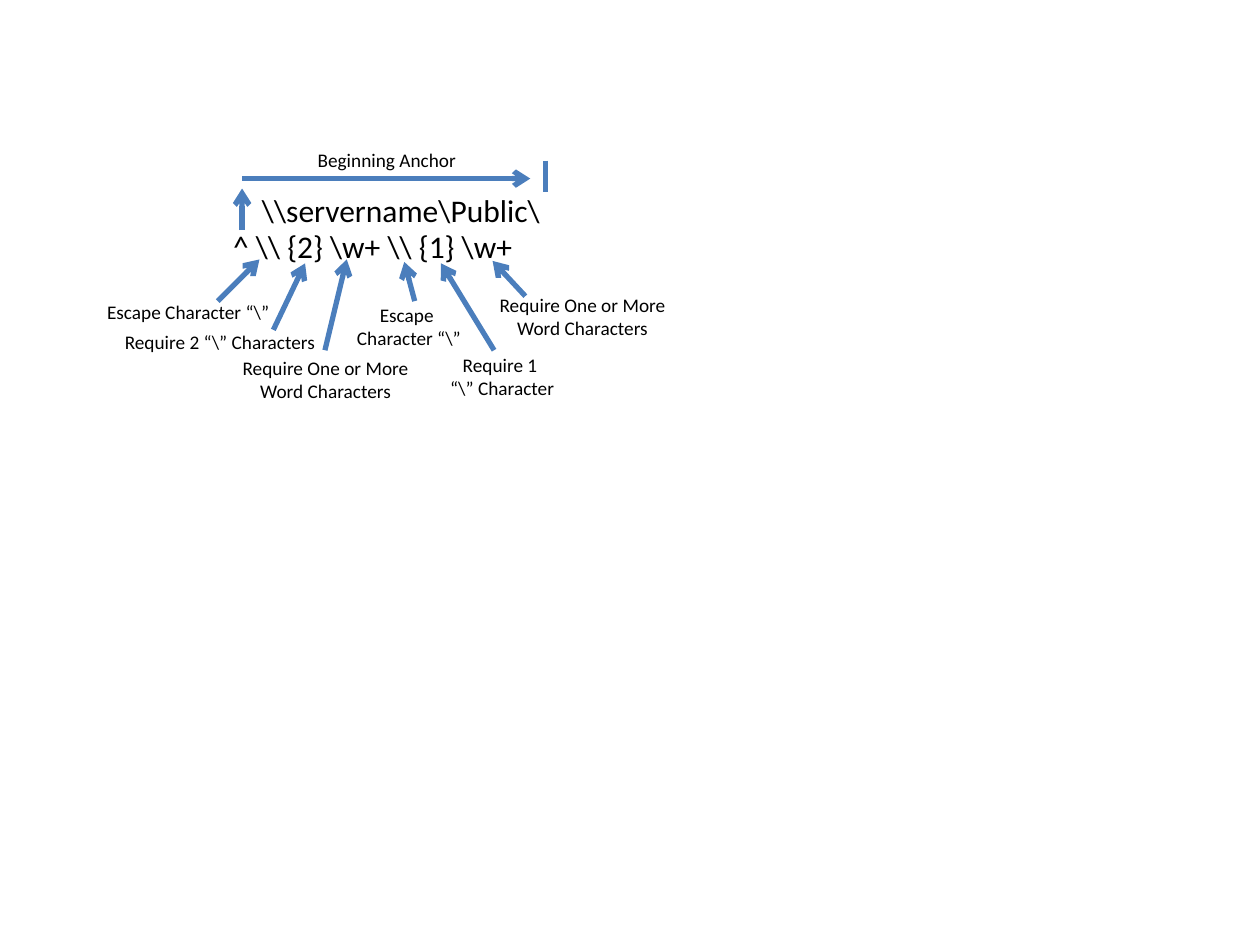
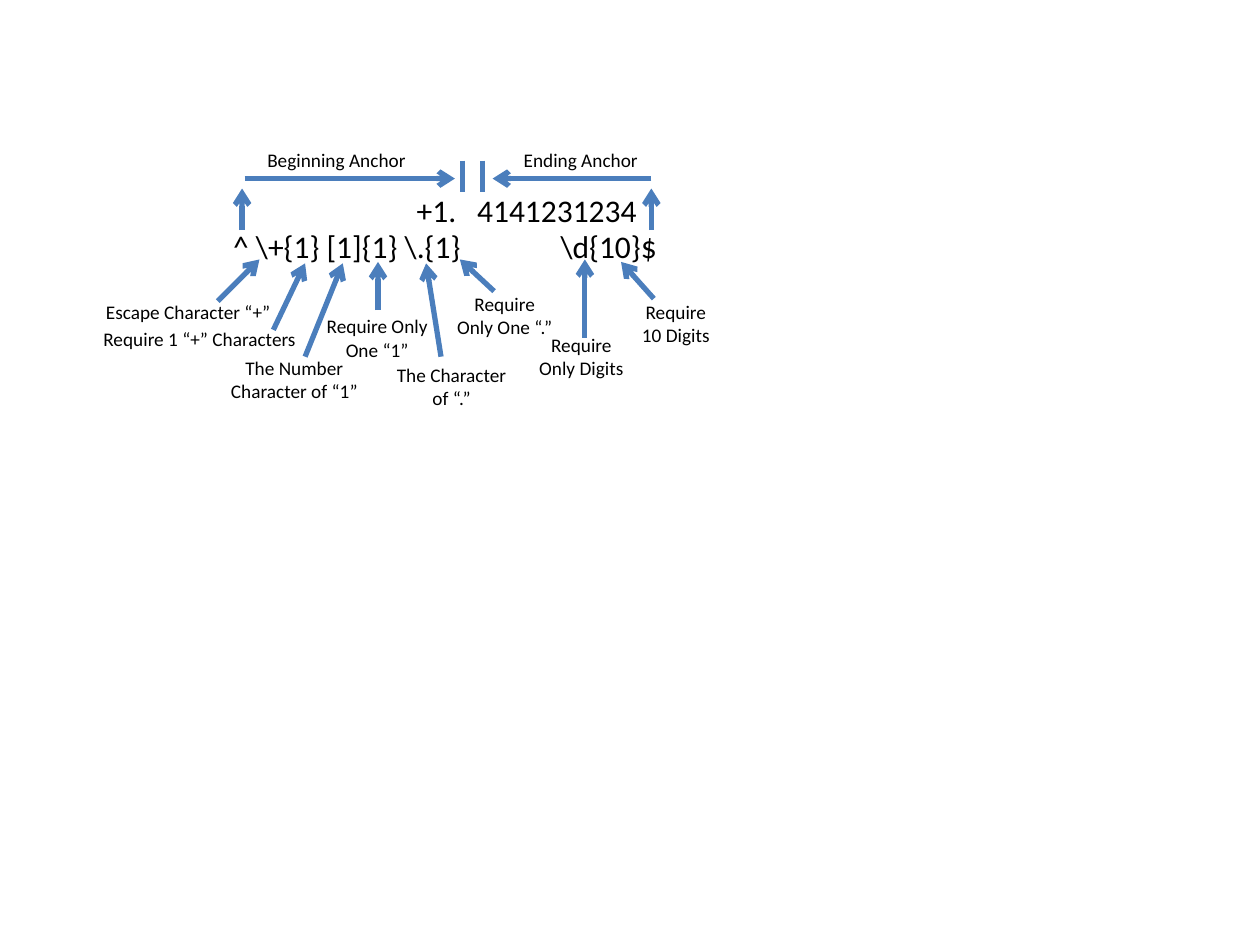
from lxml.etree import SubElement
from pptx import Presentation
from pptx.dml.color import RGBColor
from pptx.enum.shapes import MSO_CONNECTOR
from pptx.enum.text import MSO_AUTO_SIZE, PP_ALIGN
from pptx.oxml.ns import qn
from pptx.util import Cm, Pt

# Shared look; all lengths are in centimetres
ARROW_BLUE = RGBColor(0x4B, 0x7E, 0xBC)
INK = RGBColor(0, 0, 0)
FONT = "Calibri"
EXPRESSION_PT, LABEL_PT, LINE_PT = 18, 11, 3

PATTERN_AT = (4.45, 4.45)
SAMPLE_AT = (5.03, 3.73)
ANCHOR_LABEL_TOP = 2.87
REACH_Y = 3.6
STEM_Y = (4.64, 3.8)
BAR_Y = (3.24, 3.87)
LINE_HEIGHTS = {1: 0.74, 2: 1.19}
WIDE = 4.65

# Expressions: text, width, tab stops
# Anchors: text, label left, label width, alignment, stem x, reach from, reach to, bar x
# Callouts: text, label left, label top, label width, arrow foot, arrow tip
DIAGRAMS = [
    {
        "pattern": (r"^ \\ {2} \w+ \\ {1} \w+", 6.22, []),
        "sample": ("\\\\servername\\Public\\", 6.2, []),
        "anchors": [
            ("Beginning Anchor", 4.88, 5.84, PP_ALIGN.CENTER, 4.88, 4.88, 10.69, 11),
        ],
        "callouts": [
            ("Escape Character “\\”", 1.47, 5.92, WIDE, (4.39, 6.07), (5.23, 5.23)),
            ("Require 2 “\\” Characters", 2.11, 6.53, WIDE, (5.51, 6.65), (6.15, 5.31)),
            ("Require One or More\nWord Characters", 4.24, 7.06, WIDE, (6.55, 7.06), (6.99, 5.23)),
            ("Escape \nCharacter “\\”", 5.92, 5.99, WIDE, (8.36, 6.07), (8.15, 5.28)),
            ("Require 1 \n“\\” Character", 7.8, 6.99, WIDE, (9.96, 7.06), (8.89, 5.31)),
            ("Require One or More\nWord Characters", 9.42, 5.79, WIDE, (10.59, 5.97), (9.93, 5.26)),
        ],
    },
    {
        "pattern": ("^ \\+{1} [1]{1} \\.{1}\t\\d{10}$", 9.17, [6.6]),
        "sample": ("\t+1.\t4141231234", 8.31, [3.12, 4.34]),
        "anchors": [
            ("Beginning Anchor", 4.88, 3.81, PP_ALIGN.CENTER, 4.88, 4.93, 9.17, 9.32),
            ("Ending Anchor", 10.24, 2.87, PP_ALIGN.RIGHT, 13.13, 13.13, 9.93, 9.73),
        ],
        "callouts": [
            ("Escape Character “+”", 1.47, 5.92, WIDE, (4.39, 6.07), (5.23, 5.23)),
            ("Require 1 “+” Characters", 1.7, 6.48, WIDE, (5.51, 6.65), (6.15, 5.31)),
            ("The Number\nCharacter of “1”", 3.61, 7.06, WIDE, (6.15, 7.19), (6.91, 5.31)),
            ("Require Only\nOne “1”", 5.28, 6.22, WIDE, (7.62, 6.25), (7.62, 5.28)),
            ("The Character\nof “.”", 6.78, 7.19, WIDE, (8.89, 7.19), (8.59, 5.31)),
            ("Require\nOnly One “.”", 8.23, 5.77, 3.89, (9.96, 5.87), (9.27, 5.23)),
            ("Require\nOnly Digits", 10.41, 6.6, 2.62, (11.79, 6.81), (11.79, 5.23)),
            ("Require\n10 Digits", 11.3, 5.92, WIDE, (13.18, 6.02), (12.52, 5.28)),
        ],
    },
]


def add_text(slide, text, left, top, width, height, size, align, tab_stops=()):
    """Add a text box with one paragraph per line of text."""
    frame = slide.shapes.add_textbox(Cm(left), Cm(top), Cm(width), Cm(height)).text_frame
    frame.text = text
    frame.word_wrap = True
    frame.auto_size = MSO_AUTO_SIZE.SHAPE_TO_FIT_TEXT
    for paragraph in frame.paragraphs:
        paragraph.alignment = align
        if tab_stops:
            tab_list = SubElement(paragraph._p.get_or_add_pPr(), qn("a:tabLst"))
            for stop in tab_stops:
                SubElement(tab_list, qn("a:tab"), pos=str(int(Cm(stop))), algn="l")
        for run in paragraph.runs:
            run.font.name = FONT
            run.font.size = Pt(size)
            run.font.color.rgb = INK


def add_label(slide, text, left, top, width, align=PP_ALIGN.CENTER):
    """Add a small label as high as its lines need."""
    height = LINE_HEIGHTS[text.count("\n") + 1]
    add_text(slide, text, left, top, width, height, LABEL_PT, align)


def add_line(slide, start, end, arrow=True):
    """Draw a straight blue line, with an arrowhead at its end if asked."""
    line = slide.shapes.add_connector(
        MSO_CONNECTOR.STRAIGHT, *(Cm(value) for value in (*start, *end)))
    line.line.color.rgb = ARROW_BLUE
    line.line.width = Pt(LINE_PT)
    if arrow:
        SubElement(line.line._get_or_add_ln(), qn("a:tailEnd"), type="arrow")
    SubElement(line._element.spPr, qn("a:effectLst"))


def add_anchor(slide, text, left, width, align, stem_x, reach_from, reach_to, bar_x):
    """Draw an anchor: label, rising stem, reach arrow and stop bar."""
    add_label(slide, text, left, ANCHOR_LABEL_TOP, width, align)
    add_line(slide, (stem_x, STEM_Y[0]), (stem_x, STEM_Y[1]))
    add_line(slide, (reach_from, REACH_Y), (reach_to, REACH_Y))
    add_line(slide, (bar_x, BAR_Y[0]), (bar_x, BAR_Y[1]), arrow=False)


def add_diagram(prs, diagram):
    """Build one slide explaining a regular expression."""
    slide = prs.slides.add_slide(prs.slide_layouts[6])
    for part, place in (("pattern", PATTERN_AT), ("sample", SAMPLE_AT)):
        text, width, tab_stops = diagram[part]
        add_text(slide, text, *place, width, 1.02, EXPRESSION_PT, PP_ALIGN.LEFT, tab_stops)
    for anchor in diagram["anchors"]:
        add_anchor(slide, *anchor)
    for text, left, top, width, foot, tip in diagram["callouts"]:
        add_label(slide, text, left, top, width)
        add_line(slide, foot, tip)


prs = Presentation()
prs.slide_width, prs.slide_height = Cm(25.4), Cm(19.05)
for diagram in DIAGRAMS:
    add_diagram(prs, diagram)
prs.save("out.pptx")
